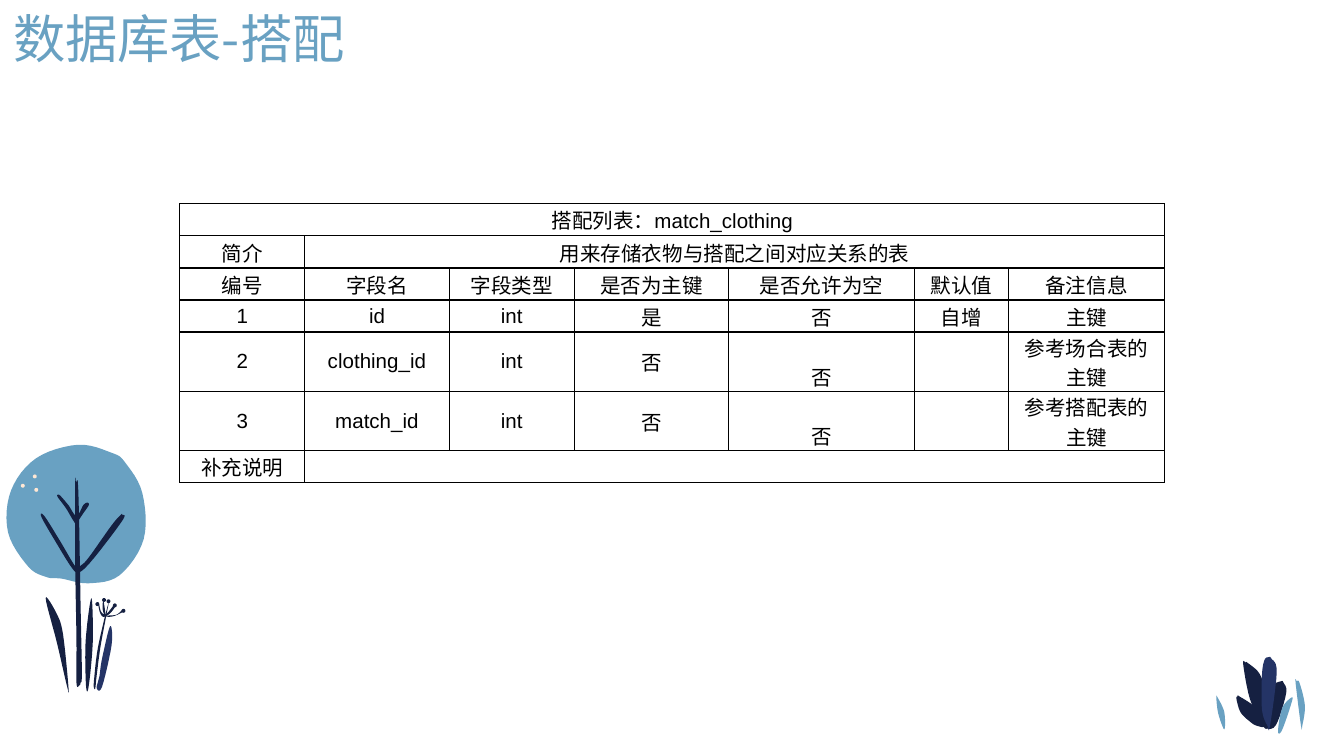
from lxml import etree
from pptx import Presentation
from pptx import util as u
from pptx.dml.color import RGBColor
from pptx.enum import shapes, text
from pptx.oxml.ns import qn

Pt = u.Pt
BLUE, NAVY, INDIGO, CREAM, BLACK = "69A1C2", "152041", "243466", "FFE7D4", "000000"
CJK_FONT = "Noto Sans CJK SC"

# Outlines are (colour, points), from back to front.
BUSH = [
    (NAVY, [(686.2, 365), (681.1, 367.9), (677.5, 378.7), (676.8, 388.8),
            (683.3, 388.8), (689, 371.5), (687.6, 365.8)]),
    (NAVY, [(667.4, 355), (666, 355.7), (669.6, 374.4), (676.1, 388.1),
            (679, 388.8), (677.5, 370.1), (674.6, 360.7), (668.2, 355)]),
    (INDIGO, [(679.7, 352.1), (677.5, 353.5), (676.1, 361.4), (676.1, 380.2),
              (679, 388.8), (680.4, 388.8), (684, 360), (681.1, 352.8)]),
    (NAVY, [(663.1, 373), (662.4, 374.4), (664.6, 381.6), (669.6, 386.6),
            (673.2, 388.8), (677.5, 388.8), (672.8, 379.3), (663.8, 373)]),
    (BLUE, [(651.6, 373.7), (652.7, 382.5), (655.9, 390.8), (655.9, 381.6),
            (652.3, 373.7)]),
    (BLUE, [(691.9, 373.7), (686.9, 379.4), (684.7, 391.7), (686.9, 391),
            (691.9, 376.6)]),
    (BLUE, [(694.8, 365), (694.1, 365.8), (697, 388.8), (697.7, 388.8),
            (699.1, 378), (696.2, 365.8)]),
]
GRASS = [
    (NAVY, [(49, 320.4), (45.9, 343.5), (46.1, 367.2), (47.5, 367.9), (49.7, 344.2)]),
    (NAVY, [(24.5, 320.4), (30.5, 344.2), (36, 367.9), (36.7, 367.9),
            (33.8, 339.8), (30.5, 329)]),
    (INDIGO, [(59, 335.5), (54.7, 352.8), (53.3, 362.2), (51.8, 368.6),
              (54.7, 367.9), (59.8, 345.6)]),
]
FLOWER = [
    (NAVY, [(58.3, 322.6), (52.6, 346.3), (50.4, 364.3), (50.4, 368.6),
            (51.1, 368.6), (51.8, 362.2), (54, 345.6)]),
    (NAVY, [(52.6, 323.3), (53.5, 328), (55.4, 330.5), (59, 328.6), (61.9, 324.7),
            (61.2, 324), (56.9, 329), (54.2, 327.8), (53, 323.3)]),
    (NAVY, [(55.4, 321.8), (55, 326), (56.2, 330.5), (56.5, 329.5), (56.2, 326.2)]),
    (NAVY, [(65.5, 326.9), (62.5, 329.3), (58.3, 329.8), (55.4, 329.8),
            (58.3, 330.5), (61.9, 329.8), (66.2, 327.6)]),
]
TREE = [
    (BLUE, [(41.8, 238.3), (19.4, 245.5), (5.9, 262.9), (4.3, 285.1), (15.1, 303.5),
            (25, 309.2), (33, 310), (47.5, 312.5), (64.1, 308.2), (77, 288.9),
            (76.3, 264.2), (67, 247.7), (59.8, 242.6)]),
    (NAVY, [(41, 258.5), (40.3, 259.2), (40.3, 301), (41, 342.7), (41, 365.8),
            (42.5, 367.2), (43.2, 365.8), (43.9, 360.7), (43.2, 324.7),
            (42.5, 283), (41.8, 259.2)]),
    (NAVY, [(65.5, 275.8), (64.8, 275.8), (59.8, 281.5), (47.5, 298.8), (43.2, 303.1),
            (41.8, 303.8), (39.6, 302.4), (32.4, 290.2), (23.8, 276.5), (22.3, 277.2),
            (30.2, 290.9), (38.2, 303.8), (41.8, 306.7), (46.8, 303.1),
            (56.2, 291.6), (66.2, 277.9)]),
    (NAVY, [(31, 265), (31, 266.4), (35.3, 272.2), (39.6, 279.4), (41, 280.1),
            (44.6, 275), (47.5, 270.7), (46.8, 269.3), (44.6, 270.7),
            (41, 276.5), (36.7, 270.7), (32.4, 265.7)]),
]
FLOWER_DOTS = [(51.1, 322.6), (54.7, 320.4), (57.1, 321.1), (60.5, 323.3), (65.1, 326.2)]
CANOPY_DOTS = [(11.2, 259.2), (17.6, 254.2), (18.4, 261.4)]

COLUMN_WIDTHS = [67, 77.4, 67, 82.8, 99.4, 50.4, 83.8]
ROW_HEIGHTS = [17.2, 17.2, 17.2, 17.2, 31.8, 31.8, 17.2]
ROWS = [
    ["搭配列表：match_clothing"],
    ["简介", "用来存储衣物与搭配之间对应关系的表"],
    ["编号", "字段名", "字段类型", "是否为主键", "是否允许为空", "默认值", "备注信息"],
    ["1", "id", "int", "是", "否", "自增", "主键"],
    ["2", "clothing_id", "int", "否", "否", "", "参考场合表的主键"],
    ["3", "match_id", "int", "否", "否", "", "参考搭配表的主键"],
    ["补充说明", ""],
]


def rgb(value):
    return RGBColor.from_string(value)


def smooth(points, steps=6):
    """Sample a closed Catmull-Rom curve through the points."""
    count = len(points)
    curve = []
    for i in range(count):
        a, b, c, d = (points[(i + k) % count] for k in (-1, 0, 1, 2))
        for t in (step / steps for step in range(steps)):
            curve.append(tuple(
                Pt(0.5 * (2 * q + (r - p) * t + (2 * p - 5 * q + 4 * r - s) * t ** 2
                          + (3 * q - p - 3 * r + s) * t ** 3))
                for p, q, r, s in zip(a, b, c, d)))
    return curve


def paint(shape, color):
    shape.shadow.inherit = False
    shape.fill.solid()
    shape.fill.fore_color.rgb = rgb(color)
    shape.line.fill.background()


def add_outlines(group, outlines):
    for color, points in outlines:
        start, *rest = smooth(points)
        builder = group.shapes.build_freeform(*start)
        builder.add_line_segments(rest)
        paint(builder.convert_to_shape(), color)


def add_dots(group, positions, color):
    for left, top in positions:
        dot = group.shapes.add_shape(
            shapes.MSO_SHAPE.OVAL, Pt(left), Pt(top), Pt(2.1), Pt(2.1))
        paint(dot, color)


def format_runs(paragraph, size, color, latin_font):
    for run in paragraph.runs:
        run.font.size = Pt(size)
        run.font.name = latin_font
        run.font.color.rgb = rgb(color)
        etree.SubElement(run.font._element, qn("a:ea"), typeface=CJK_FONT)


def add_title(slide, title):
    box = slide.shapes.add_textbox(0, 0, Pt(405.4), Pt(41))
    box.text_frame.word_wrap = True
    box.text_frame.text = title
    format_runs(box.text_frame.paragraphs[0], 28, BLUE, CJK_FONT)


def add_borders(cell):
    properties = cell._tc.get_or_add_tcPr()
    for index, side in enumerate(("lnL", "lnR", "lnT", "lnB")):
        line = etree.Element(qn(f"a:{side}"), w=str(Pt(0.75)))
        fill = etree.SubElement(line, qn("a:solidFill"))
        etree.SubElement(fill, qn("a:srgbClr"), val=BLACK)
        properties.insert(index, line)


def format_cell(cell, content, anchor):
    cell.text_frame.text = content
    cell.fill.background()
    cell.margin_left = cell.margin_right = Pt(5)
    cell.margin_top = cell.margin_bottom = 0
    cell.vertical_anchor = anchor
    paragraph = cell.text_frame.paragraphs[0]
    paragraph.alignment = text.PP_ALIGN.CENTER
    format_runs(paragraph, 11, BLACK, "Arial")
    if not content:
        etree.SubElement(paragraph._p, qn("a:endParaRPr"), sz="1100")
    add_borders(cell)


def add_field_table(slide):
    last = len(COLUMN_WIDTHS) - 1
    frame = slide.shapes.add_table(
        len(ROWS), last + 1, Pt(96.3), Pt(109.2),
        Pt(sum(COLUMN_WIDTHS)), Pt(sum(ROW_HEIGHTS)))
    table = frame.table
    table.first_row = table.horz_banding = False
    for column, width in zip(table.columns, COLUMN_WIDTHS):
        column.width = Pt(width)
    for r, (height, contents) in enumerate(zip(ROW_HEIGHTS, ROWS)):
        table.rows[r].height = Pt(height)
        for c in range(last + 1):
            low = height > 20 and c == 4
            anchor = text.MSO_ANCHOR.BOTTOM if low else text.MSO_ANCHOR.MIDDLE
            content = contents[c] if c < len(contents) else ""
            format_cell(table.cell(r, c), content, anchor)
        if len(contents) <= last:
            table.cell(r, len(contents) - 1).merge(table.cell(r, last))


def main():
    presentation = Presentation()
    presentation.slide_width, presentation.slide_height = Pt(720), Pt(405)
    slide = presentation.slides.add_slide(presentation.slide_layouts[6])
    add_outlines(slide.shapes.add_group_shape(), BUSH)
    tree = slide.shapes.add_group_shape()
    add_outlines(tree, GRASS + FLOWER)
    add_dots(tree, FLOWER_DOTS, NAVY)
    add_outlines(tree, TREE)
    add_dots(tree, CANOPY_DOTS, CREAM)
    add_title(slide, "数据库表-搭配")
    add_field_table(slide)
    presentation.save("out.pptx")


if __name__ == "__main__":
    main()
